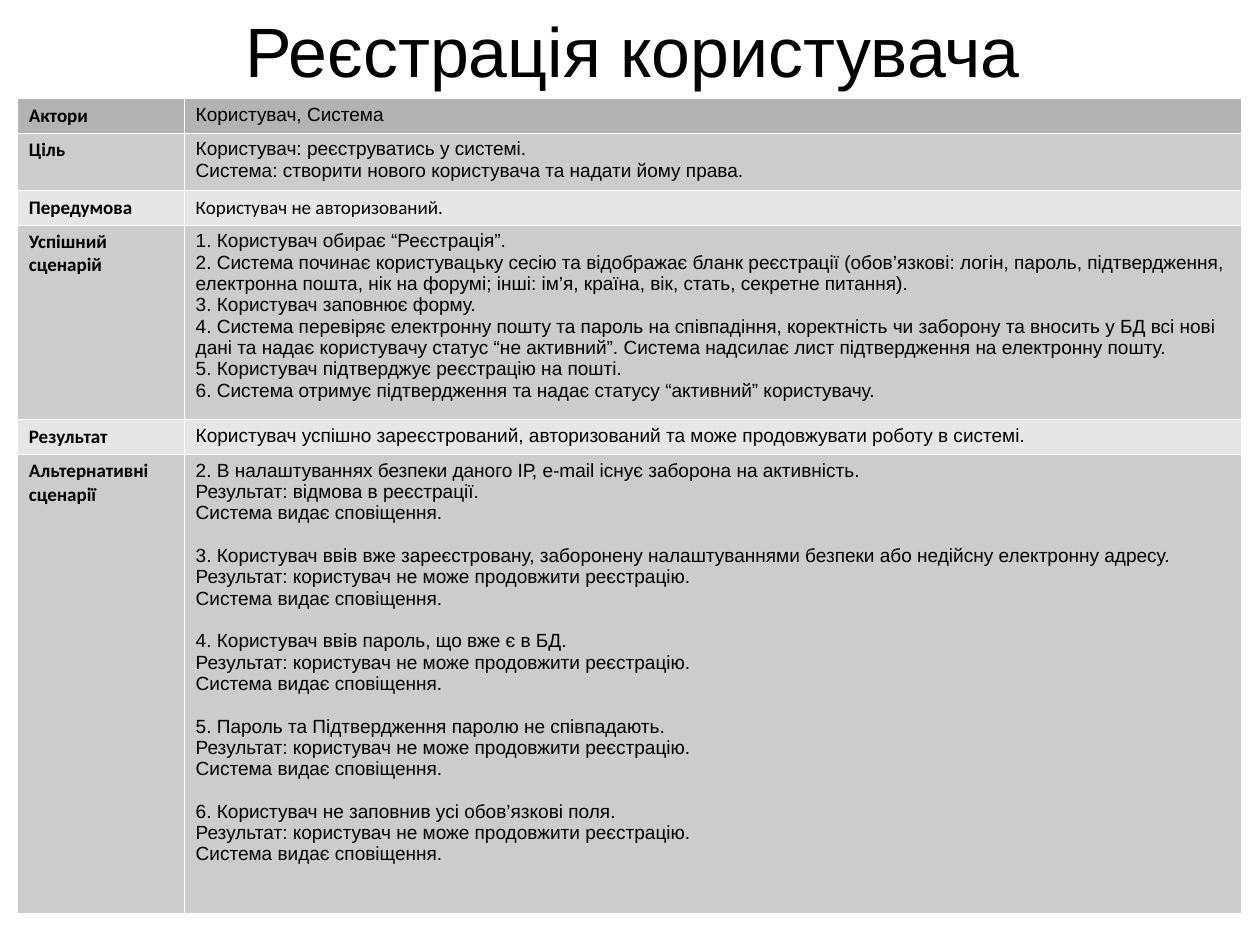
from lxml.etree import SubElement
from pptx import Presentation
from pptx.dml.color import RGBColor
from pptx.enum.text import MSO_ANCHOR, PP_ALIGN
from pptx.oxml.ns import qn
from pptx.util import Cm, Pt

BLACK = RGBColor(0x00, 0x00, 0x00)
WHITE = RGBColor(0xFF, 0xFF, 0xFF)
DARK = RGBColor(0xB3, 0xB3, 0xB3)
MEDIUM = RGBColor(0xCC, 0xCC, 0xCC)
LIGHT = RGBColor(0xE6, 0xE6, 0xE6)

TITLE = "Реєстрація користувача"
NOTICE = "Система видає сповіщення."
BLOCKED = "Результат: користувач не може продовжити реєстрацію."

SUCCESS_STEPS = [
    "1. Користувач обирає “Реєстрація”.",
    "2. Система починає користувацьку сесію та відображає бланк реєстрації "
    "(обов’язкові: логін, пароль, підтвердження, електронна пошта, нік на форумі; "
    "інші: ім’я, країна, вік, стать, секретне питання).",
    "3. Користувач заповнює форму.",
    "4. Система перевіряє електронну пошту та пароль на співпадіння, коректність "
    "чи заборону та вносить у БД всі нові дані та надає користувачу статус "
    "“не активний”. Система надсилає лист підтвердження на електронну пошту.",
    "5. Користувач підтверджує реєстрацію на пошті.",
    "6. Система отримує підтвердження та надає статусу “активний” користувачу.",
]

ALTERNATIVES = [
    ("2. В налаштуваннях безпеки даного ІР, e-mail існує заборона на активність.",
     "Результат: відмова в реєстрації."),
    ("3. Користувач ввів вже зареєстровану, заборонену налаштуваннями безпеки "
     "або недійсну електронну адресу.", BLOCKED),
    ("4. Користувач ввів пароль, що вже є в БД.", BLOCKED),
    ("5. Пароль та Підтвердження паролю не співпадають.", BLOCKED),
    ("6. Користувач не заповнив усі обов’язкові поля.", BLOCKED),
]

USE_CASE = [
    ("Актори", [["Користувач, Система"]], "Arial", DARK, 0.76),
    ("Ціль", [["Користувач: реєструватись у системі.",
               "Система: створити нового користувача та надати йому права."]],
     "Arial", MEDIUM, 1.27),
    ("Передумова", [["Користувач не авторизований."]], "Calibri", LIGHT, 0.76),
    ("Успішний сценарій", [SUCCESS_STEPS], "Arial", MEDIUM, 4.32),
    ("Результат", [["Користувач успішно зареєстрований, авторизований та може "
                    "продовжувати роботу в системі."]], "Arial", LIGHT, 0.76),
    ("Альтернативні сценарії",
     [[cause, result, NOTICE] for cause, result in ALTERNATIVES],
     "Arial", MEDIUM, 10.21),
]

COLUMN_WIDTHS = [3.71, 23.47]
TABLE_LEFT, TABLE_TOP = 0.39, 2.18
SCENARIO_GAP = Pt(13.4)
BORDER_WIDTH = Pt(0.06)

TITLE_FORMAT = {"name": "Arial", "size": Pt(44), "bold": False}
LABEL_FORMAT = {"name": "Calibri", "size": Pt(12), "bold": True}
DETAIL_FORMAT = {"size": Pt(12), "bold": False}
TITLE_FRAME = {"margin_left": 0, "margin_top": 0, "margin_right": 0,
               "margin_bottom": 0, "word_wrap": True,
               "vertical_anchor": MSO_ANCHOR.MIDDLE}
CELL_FRAME = {"margin_left": Cm(0.25), "margin_top": Cm(0.13),
              "margin_right": Cm(0.25), "margin_bottom": Cm(0.13),
              "vertical_anchor": MSO_ANCHOR.TOP}
TABLE_STYLE = {"first_row": False, "horz_banding": False}


def apply(target, values):
    for attribute, value in values.items():
        setattr(target, attribute, value)


def write(paragraph, words, font_format):
    run = paragraph.add_run()
    run.text = words
    apply(run.font, font_format)
    run.font.color.rgb = BLACK


def add_borders(cell):
    properties = cell._tc.get_or_add_tcPr()
    for side in ("a:lnL", "a:lnR", "a:lnT", "a:lnB"):
        line = SubElement(properties, qn(side), w=str(int(BORDER_WIDTH)))
        fill = SubElement(line, qn("a:solidFill"))
        SubElement(fill, qn("a:srgbClr"), val=str(WHITE))


def fill_cell(cell, groups, font_format, shade):
    apply(cell, CELL_FRAME)
    add_borders(cell)
    cell.fill.solid()
    cell.fill.fore_color.rgb = shade
    paragraph = cell.text_frame.paragraphs[0]
    for group_number, group in enumerate(groups):
        for line_number, words in enumerate(group):
            if group_number or line_number:
                paragraph = cell.text_frame.add_paragraph()
            if group_number and not line_number:
                paragraph.space_before = SCENARIO_GAP
            write(paragraph, words, font_format)


presentation = Presentation()
presentation.slide_width = Cm(28)
presentation.slide_height = Cm(21)
slide = presentation.slides.add_slide(presentation.slide_layouts[6])

title = slide.shapes.add_textbox(Cm(1.47), Cm(0.18), Cm(25.2), Cm(1.85)).text_frame
apply(title, TITLE_FRAME)
title.paragraphs[0].alignment = PP_ALIGN.CENTER
write(title.paragraphs[0], TITLE, TITLE_FORMAT)

use_case = slide.shapes.add_table(
    len(USE_CASE), len(COLUMN_WIDTHS), Cm(TABLE_LEFT), Cm(TABLE_TOP),
    Cm(sum(COLUMN_WIDTHS)), Cm(sum(height for *_, height in USE_CASE))).table
apply(use_case, TABLE_STYLE)
for column, width in zip(use_case.columns, COLUMN_WIDTHS):
    column.width = Cm(width)
for row, (label, details, font, shade, height) in zip(use_case.rows, USE_CASE):
    row.height = Cm(height)
    label_cell, detail_cell = row.cells
    fill_cell(label_cell, [[label]], LABEL_FORMAT, shade)
    fill_cell(detail_cell, details, {"name": font, **DETAIL_FORMAT}, shade)

presentation.save("out.pptx")
